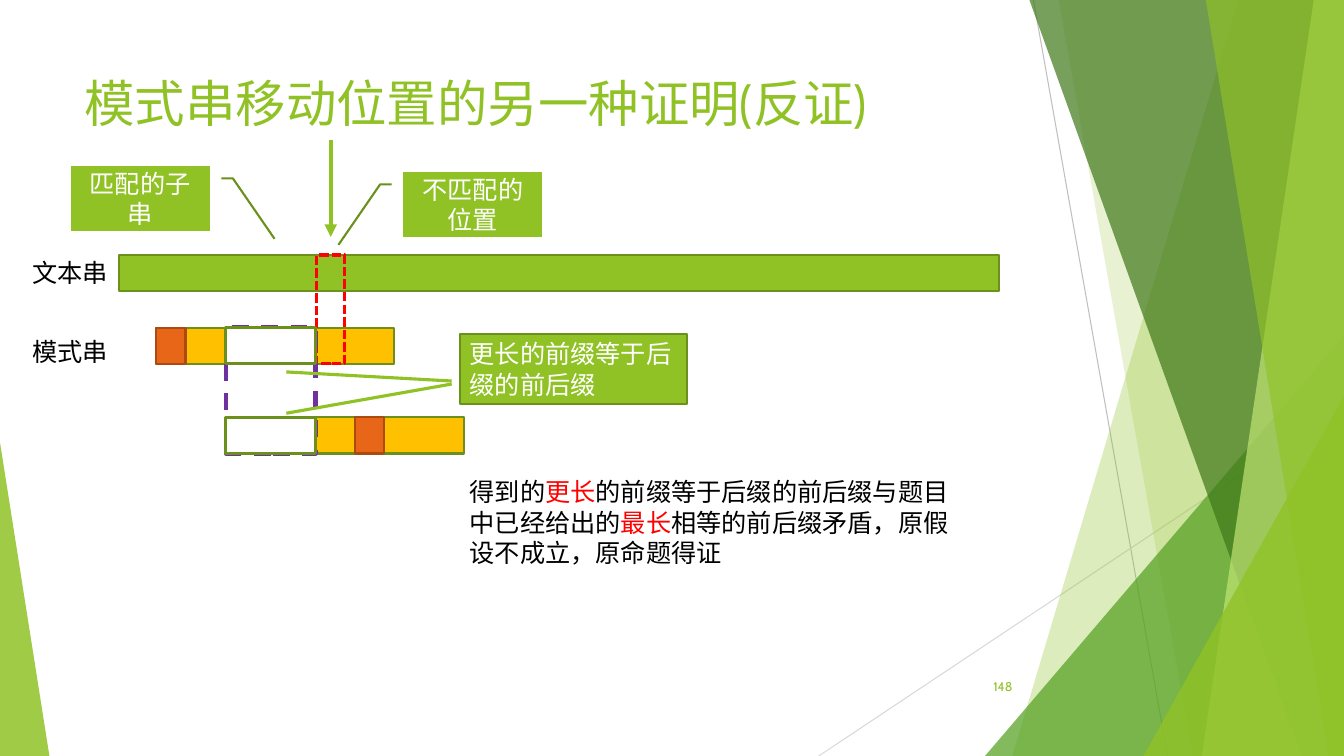
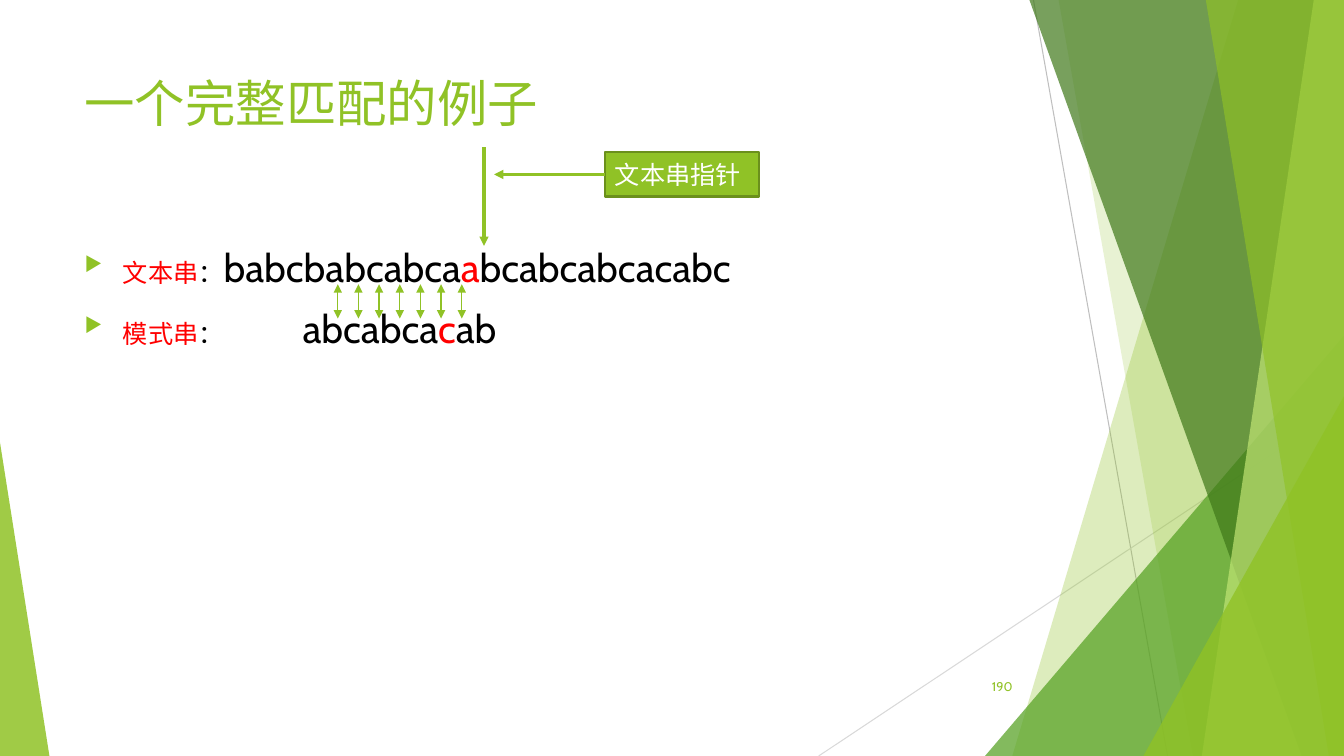
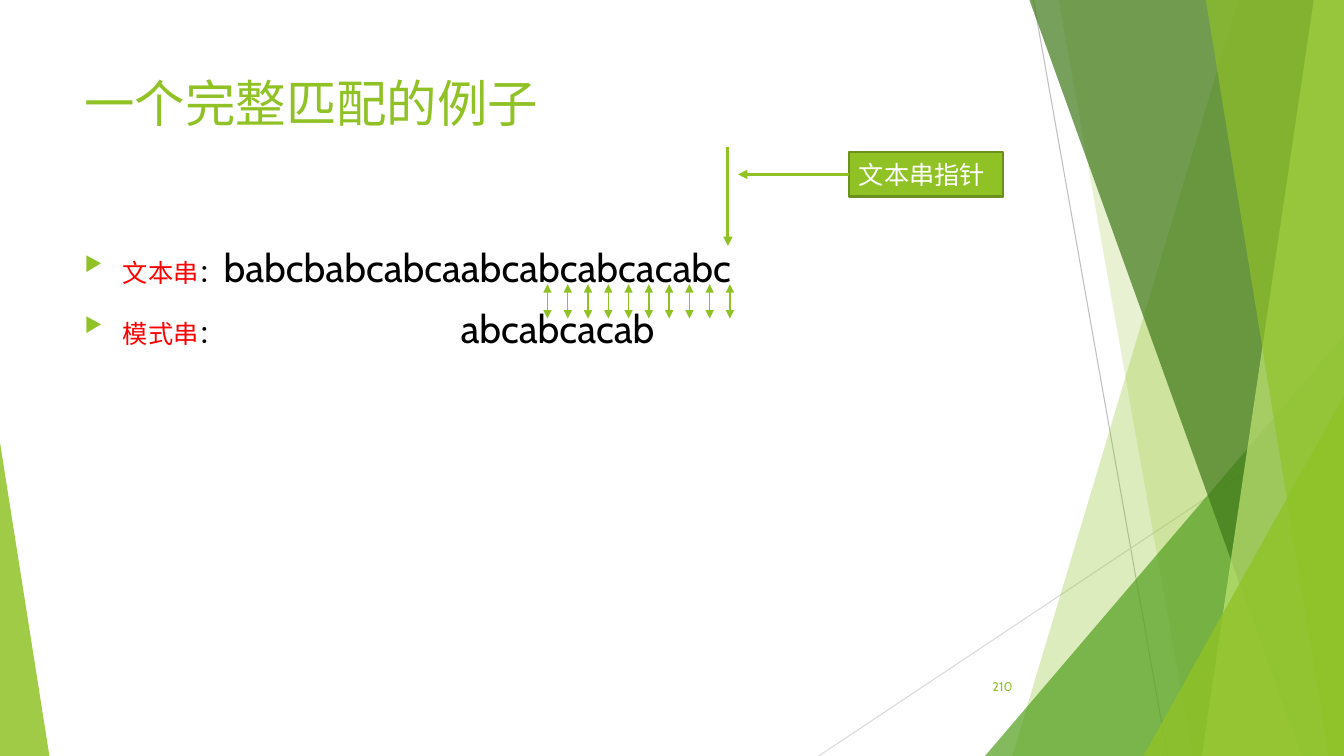
"""Builds three slides on string matching: a proof by contradiction and two steps of an example."""
from lxml import etree
from pptx import Presentation
from pptx.dml.color import RGBColor
from pptx.enum.dml import MSO_LINE
from pptx.enum.shapes import MSO_CONNECTOR, MSO_SHAPE
from pptx.enum.text import MSO_ANCHOR, PP_ALIGN
from pptx.oxml.ns import qn
from pptx.util import Inches, Pt

WIDTH, HEIGHT = 13.33, 7.5
FONT = "Cabin"
COLORS = {
    "green": "90C226", "edge": "6B901C", "leaf": "54A021", "forest": "3F7819", "lime": "C0E474",
    "amber": "FFC000", "orange": "E76618", "rust": "AB4B12", "purple": "7030A0", "red": "FF0000",
    "black": "000000", "white": "FFFFFF", "gray": "BFBFBF", "pale": "D9D9D9",
}

HAIRLINES = [((10.25, 0), (11.58, HEIGHT), "gray"), ((WIDTH, 4.03), (8.12, HEIGHT), "pale")]
BANDS = [
    ("panel", 12.28, 10.04, "green", 30),
    ("panel", 10.5, 11.83, "green", 20),
    ("triangle", (9.77, 3.33, 3.56), 1, "leaf", 72),
    ("panel", 10.21, 12.91, "forest", 70),
    ("panel", 13.03, 11.92, "lime", 70),
    ("panel", 11.96, 13.18, "green", 65),
    ("triangle", (11.34, 3.93, 1.99), 1, "green", 80),
    ("triangle", (0, 4.39, 0.49), 0, "green", 85),
]

TEXT_ROW, PATTERN_ROW, SHIFTED_ROW, BAR = 2.53, 3.25, 4.14, 0.36
PATTERN_LEFT, SHIFTED_LEFT, PATTERN_WIDTH = 1.55, 2.24, 2.36
OVERLAP, LETTER = 0.89, 0.29
ROW_LABELS = [("文本串", 2.5), ("模式串", 3.29)]
CALLOUTS = [("不匹配的位置", 4, 1.71, False), ("匹配的子串", 0.7, 1.65, True)]
STRINGS = [
    ((1.18, TEXT_ROW, 8.73, BAR), "green", "edge", 1.5, None),
    ((PATTERN_LEFT, PATTERN_ROW, PATTERN_WIDTH, BAR), "amber", "edge", 1.5, None),
    ((3.14, TEXT_ROW, 0.28, PATTERN_ROW + BAR - TEXT_ROW), None, "red", 2.25, MSO_LINE.SQUARE_DOT),
    ((PATTERN_LEFT, PATTERN_ROW, LETTER, BAR), "orange", "rust", 1.5, None),
    ((SHIFTED_LEFT, SHIFTED_ROW, PATTERN_WIDTH, BAR), "amber", "edge", 1.5, None),
    ((3.52, SHIFTED_ROW, LETTER, BAR), "orange", "rust", 1.5, None),
    ((SHIFTED_LEFT, PATTERN_ROW, OVERLAP, SHIFTED_ROW + BAR - PATTERN_ROW), None, "purple", 3,
     MSO_LINE.DASH),
    ((SHIFTED_LEFT, PATTERN_ROW, OVERLAP, BAR), "white", "edge", 2.25, None),
    ((SHIFTED_LEFT, SHIFTED_ROW, OVERLAP, BAR), "white", "edge", 2.25, None),
]
CLAIM = "更长的前缀等于后缀的前后缀"
CLAIM_LINES = [((2.84, 3.69), (4.48, 3.78)), ((2.84, 4.1), (4.48, 3.81))]
CONCLUSION = [
    [("得到的", "black"), ("更长", "red"), ("的前缀等于后缀的前后缀与题目", "black")],
    [("中已经给出的", "black"), ("最长", "red"), ("相等的前后缀矛盾，原假", "black")],
    [("设不成立，原命题得证", "black")],
]

EXAMPLES = [
    {"number": "190", "pointer": 4.8, "shift": 56.4, "matches": (3.35, 4.58, 7),
     "text": [("babcbabcabca", "black"), ("a", "red"), ("bcabcabcacabc", "black")],
     "pattern": [("abcabca", "black"), ("c", "red"), ("ab", "black")]},
    {"number": "210", "pointer": 7.22, "shift": 169.2, "matches": (5.43, 7.24, 10),
     "text": [("babcbabcabcaabcabcabcacabc", "black")],
     "pattern": [("abcabcacab", "black")]},
]


def rgb(name):
    return RGBColor.from_string(COLORS[name])


def add_xml(parent, tag, **attributes):
    return etree.SubElement(parent, qn(tag), attributes)


def write(paragraph, pieces, size):
    for words, color in pieces:
        run = paragraph.add_run()
        run.text = words
        run.font.name, run.font.size = FONT, Pt(size)
        run.font.color.rgb = rgb(color)


def add_text(slide, at, paragraphs, size=18, wrap=True):
    frame = slide.shapes.add_textbox(*map(Inches, at)).text_frame
    frame.word_wrap = wrap
    for index, pieces in enumerate(paragraphs):
        write(frame.add_paragraph() if index else frame.paragraphs[0], pieces, size)
    return frame


def paint(shape, fill, line=None, width=1.5, dash=None, opacity=None):
    shape.shadow.inherit = False
    if fill:
        shape.fill.solid()
        shape.fill.fore_color.rgb = rgb(fill)
    else:
        shape.fill.background()
    if line:
        shape.line.color.rgb = rgb(line)
        shape.line.width = Pt(width)
        if dash:
            shape.line.dash_style = dash
    else:
        shape.line.fill.background()
    if opacity:
        color = shape._element.spPr.find(qn("a:solidFill")).find(qn("a:srgbClr"))
        add_xml(color, "a:alpha", val=str(opacity * 1000))


def add_box(slide, at, words, align=PP_ALIGN.LEFT, kind=MSO_SHAPE.RECTANGLE):
    box = slide.shapes.add_shape(kind, *map(Inches, at))
    paint(box, "green", "edge")
    box.text_frame.vertical_anchor = MSO_ANCHOR.MIDDLE
    paragraph = box.text_frame.paragraphs[0]
    paragraph.alignment = align
    write(paragraph, [(words, "white")], 18)
    return box


def add_line(slide, start, end, width, color="green", ends=()):
    line = slide.shapes.add_connector(MSO_CONNECTOR.STRAIGHT, *map(Inches, (*start, *end)))
    line.line.color.rgb = rgb(color)
    line.line.width = Pt(width)
    for end_tag in ends:
        add_xml(line.line._get_or_add_ln(), end_tag, type="triangle")
    add_xml(line._element.spPr, "a:effectLst")
    return line


def decorate_layout(layout, slide):
    for start, end, color in HAIRLINES:
        add_line(slide, start, end, 0.75, color)
    for kind, place, foot, color, opacity in BANDS:
        if kind == "panel":
            corners = [(WIDTH, 0), (WIDTH, HEIGHT), (foot, HEIGHT)]
            builder = slide.shapes.build_freeform(Inches(place), 0)
            builder.add_line_segments([tuple(map(Inches, corner)) for corner in corners])
            band = builder.convert_to_shape()
        else:
            left, top, width = place
            band = slide.shapes.add_shape(
                MSO_SHAPE.ISOSCELES_TRIANGLE, *map(Inches, (left, top, width, HEIGHT - top)))
            band.adjustments[0] = foot
        paint(band, color, opacity=opacity)
    for shape in list(slide.shapes):
        layout.shapes._spTree.append(shape._element)


def add_frame(slide, title, number):
    add_text(slide, (0.74, 0.67, 9.4, 1.44), [[(title, "green")]], 36)
    footer = add_text(slide, (9.39, 6.61, 0.75, 0.4), [[(number, "green")]], 9)
    footer.vertical_anchor = MSO_ANCHOR.MIDDLE
    footer.paragraphs[0].alignment = PP_ALIGN.RIGHT


def build_proof(slide):
    add_frame(slide, "模式串移动位置的另一种证明(反证)", "148")
    for label, top in ROW_LABELS:
        add_text(slide, (0.22, top, 0.96, 0.4), [[(label, "black")]], wrap=False)
    for at, *style in STRINGS:
        paint(slide.shapes.add_shape(MSO_SHAPE.RECTANGLE, *map(Inches, at)), *style)
    for words, left, top, flipped in CALLOUTS:
        callout = add_box(slide, (left, top, 1.38, 0.64), words, PP_ALIGN.CENTER,
                          MSO_SHAPE.LINE_CALLOUT_2_NO_BORDER)
        if flipped:
            callout._element.spPr.xfrm.set("flipH", "1")
    add_line(slide, (3.28, 1.39), (3.28, 2.35), 3, ends=["a:tailEnd"])
    add_box(slide, (4.56, 3.31, 2.25, 0.7), CLAIM)
    for start, end in CLAIM_LINES:
        add_line(slide, start, end, 2.25)
    add_text(slide, (4.56, 4.68, 5, 1.01), CONCLUSION, wrap=False)


def build_example(slide, example):
    add_frame(slide, "一个完整匹配的例子", example["number"])
    body = add_text(slide, (0.74, 2.36, 9.4, 4.24), [[], []])
    rows = [("文本串", "text", 0), ("模式串", "pattern", example["shift"])]
    for index, (label, key, shift) in enumerate(rows):
        paragraph = body.paragraphs[index]
        properties = paragraph._p.get_or_add_pPr()
        properties.set("marL", str(Inches(0.38)))
        properties.set("indent", str(-Inches(0.38)))
        paragraph.space_before = Pt(10 * index)
        add_xml(add_xml(properties, "a:buClr"), "a:srgbClr", val=COLORS["green"])
        add_xml(properties, "a:buSzPct", val="80000")
        add_xml(properties, "a:buChar", char="▶")
        write(paragraph, [(label, "red"), ("：", "black")], 18)
        if shift:
            paragraph.runs[-1].font._element.set("spc", str(round(shift * 100)))
        write(paragraph, example[key], 28)

    first, last, count = example["matches"]
    for index in range(count):
        x = first + (last - first) * index / (count - 1)
        add_line(slide, (x, 2.82), (x, 3.16), 1, ends=["a:headEnd", "a:tailEnd"])

    pointer = example["pointer"]
    label_box = add_box(slide, (pointer + 1.2, 1.51, 1.53, 0.44), "文本串指针")
    leader = add_line(slide, (pointer + 1.2, 1.73), (pointer + 0.1, 1.73), 2.25, ends=["a:tailEnd"])
    leader.begin_connect(label_box, 1)
    add_line(slide, (pointer, 1.46), (pointer, 2.44), 2.25, ends=["a:tailEnd"])


def main():
    deck = Presentation()
    deck.slide_width, deck.slide_height = Inches(WIDTH), Inches(HEIGHT)
    blank = deck.slide_layouts[6]
    proof = deck.slides.add_slide(blank)
    decorate_layout(blank, proof)
    build_proof(proof)
    for example in EXAMPLES:
        build_example(deck.slides.add_slide(blank), example)
    deck.save("out.pptx")


if __name__ == "__main__":
    main()
